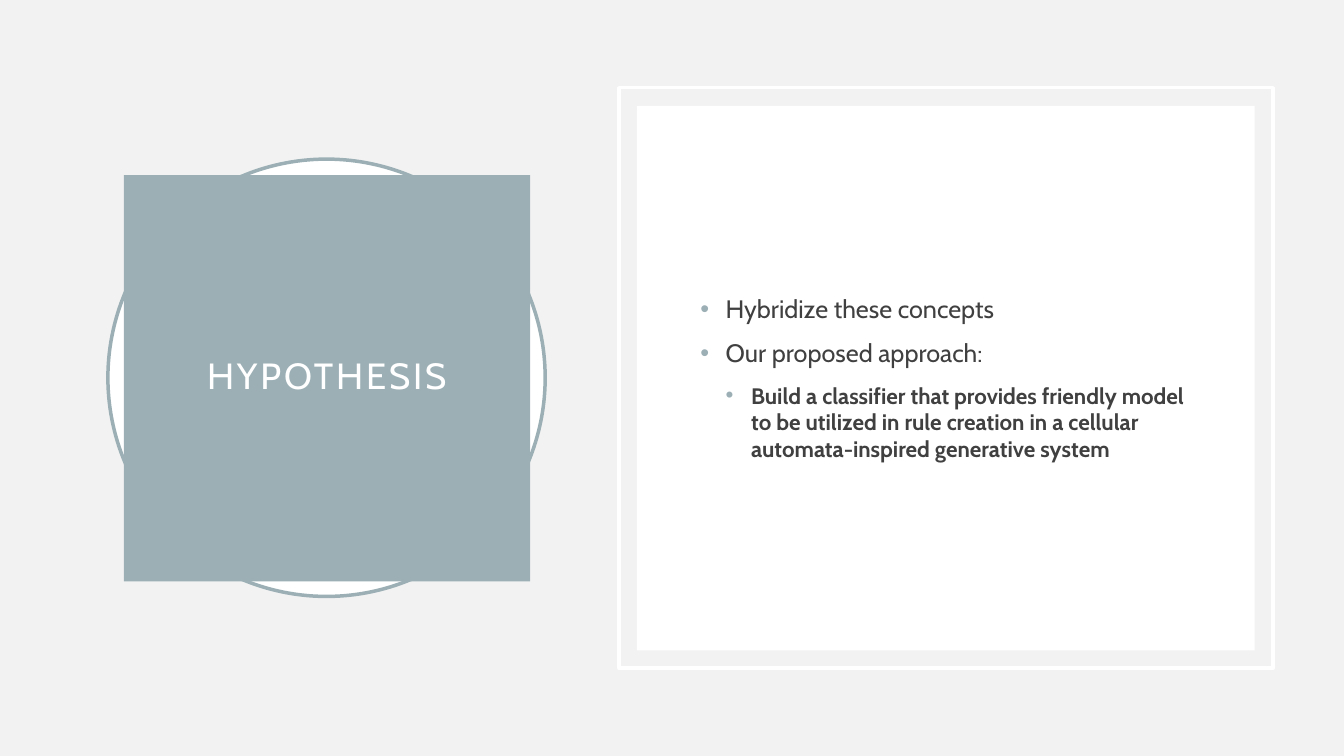
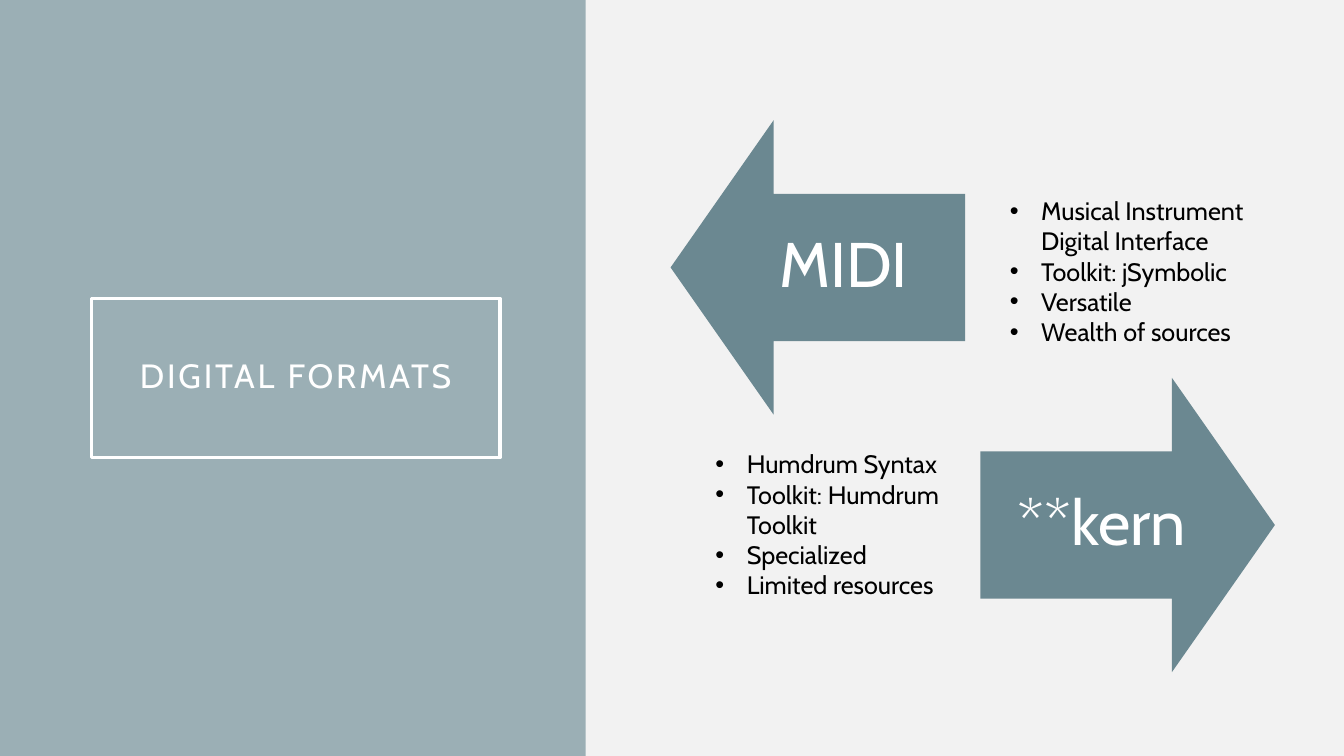
"""Build two slides on a music-generation hypothesis and its digital formats."""
from pptx import Presentation
from pptx import util as u
from pptx.dml.color import RGBColor
from pptx.enum import shapes, text
from pptx.oxml.ns import qn
from lxml import etree

MIST = RGBColor(0x9B, 0xAF, 0xB5)
TEAL = RGBColor(0x6B, 0x88, 0x91)
PALE = RGBColor(0xF2, 0xF2, 0xF2)
WHITE = RGBColor(0xFF, 0xFF, 0xFF)
CHARCOAL = RGBColor(0x40, 0x40, 0x40)
BLACK = RGBColor(0, 0, 0)
FONT = "Cabin"
LINE_WIDTH = u.Pt(2.5)
TITLE_ONLY = 5


def set_all(target, values):
    """Set every attribute in values on target."""
    for name, value in values.items():
        setattr(target, name, value)


def place(shape, left, top, width, height):
    """Put a shape at a place given in centimetres."""
    box = dict(left=left, top=top, width=width, height=height)
    set_all(shape, {side: u.Cm(length) for side, length in box.items()})


def paint(shape, fill=None, line=None):
    """Give a shape its fill and outline, or none of either."""
    if fill is None:
        shape.fill.background()
    else:
        shape.fill.solid()
        shape.fill.fore_color.rgb = fill
    if line is None:
        shape.line.fill.background()
    else:
        shape.line.color.rgb = line
        shape.line.width = LINE_WIDTH


def style_font(font, size, color, bold=False):
    """Apply the deck font with a size and colour."""
    set_all(font, dict(name=FONT, size=u.Pt(size), bold=bold))
    font.color.rgb = color


def add_panel(slide, kind, box, fill=None, line=None):
    """Add a flat preset shape."""
    panel = slide.shapes.add_shape(kind, *(u.Cm(length) for length in box))
    panel.shadow.inherit = False
    paint(panel, fill, line)
    return panel


def write_label(shape, label, size, inset, wrap=True):
    """Write one centred white line into a shape and return its run."""
    frame = shape.text_frame
    sides = ("margin_left", "margin_right", "margin_top", "margin_bottom")
    set_all(frame, dict.fromkeys(sides, u.Cm(inset)))
    set_all(frame, dict(word_wrap=wrap, auto_size=text.MSO_AUTO_SIZE.NONE,
                        vertical_anchor=text.MSO_ANCHOR.MIDDLE))
    paragraph = frame.paragraphs[0]
    set_all(paragraph, dict(alignment=text.PP_ALIGN.CENTER, line_spacing=0.9))
    run = paragraph.add_run()
    run.text = label
    style_font(run.font, size, WHITE)
    return run


def format_title(slide, label, box, size, fill=None, line=None):
    """Move the title to the front and give it the deck's title style."""
    title = slide.shapes.title
    title.element.getparent().append(title.element)
    place(title, *box)
    paint(title, fill, line)
    run = write_label(title, label, size, 0.51)
    run.font._element.set("spc", "200")


def add_bullet(paragraph, color, margin, hang):
    """Give a paragraph a round bullet with a hanging indent."""
    properties = paragraph._p.get_or_add_pPr()
    properties.set("marL", str(u.Cm(margin)))
    properties.set("indent", str(-u.Cm(hang)))
    bullet_color = etree.SubElement(properties, qn("a:buClr"))
    etree.SubElement(bullet_color, qn("a:srgbClr"), val=str(color))
    etree.SubElement(properties, qn("a:buFont"), typeface="Arial")
    etree.SubElement(properties, qn("a:buChar"), char="•")


def add_bullets(slide, box, items, color, bullet_color, hang, gap=0,
                anchor=text.MSO_ANCHOR.TOP):
    """Add a bulleted list of (level, wording) items; sublevels are bold."""
    frame = slide.shapes.add_textbox(*(u.Cm(length) for length in box)).text_frame
    set_all(frame, dict(word_wrap=True, vertical_anchor=anchor))
    for index, (level, wording) in enumerate(items):
        paragraph = frame.add_paragraph() if index else frame.paragraphs[0]
        set_all(paragraph, dict(level=level, space_before=u.Pt(gap)))
        add_bullet(paragraph, bullet_color, hang * (level + 1), hang)
        run = paragraph.add_run()
        run.text = wording
        style_font(run.font, 18 - 2 * level, color, bold=level > 0)


def add_arrow(slide, kind, left, top, label):
    """Add a square block arrow with its format name."""
    arrow = add_panel(slide, kind, (left, top, 7.42, 7.42), TEAL)
    arrow.adjustments[0], arrow.adjustments[1] = 0.5, 0.35
    write_label(arrow, label, 45, 0.89, wrap=False)


def new_slide(deck, background):
    """Add a title-only slide on a plain background."""
    slide = deck.slides.add_slide(deck.slide_layouts[TITLE_ONLY])
    slide.background.fill.solid()
    slide.background.fill.fore_color.rgb = background
    return slide


def build_hypothesis(deck):
    """Build the hypothesis slide."""
    slide = new_slide(deck, PALE)
    rectangle = shapes.MSO_SHAPE.RECTANGLE
    add_panel(slide, shapes.MSO_SHAPE.OVAL, (2.72, 4.01, 11.02, 11.02), WHITE, MIST)
    add_panel(slide, rectangle, (15.6, 2.21, 16.48, 14.63), line=WHITE)
    add_panel(slide, rectangle, (16.05, 2.67, 15.57, 13.72), WHITE)
    format_title(slide, "HYPOTHESIS", (3.12, 4.41, 10.24, 10.24), 26, fill=MIST)
    items = [
        (0, "Hybridize these concepts"),
        (0, "Our proposed approach:"),
        (1, "Build a classifier that provides friendly model to be utilized in "
            "rule creation in a cellular automata-inspired generative system"),
    ]
    add_bullets(slide, (17.4, 4.01, 12.93, 11.02), items, CHARCOAL, MIST, 0.64,
                gap=10, anchor=text.MSO_ANCHOR.MIDDLE)


def build_formats(deck):
    """Build the slide that compares two digital formats."""
    slide = new_slide(deck, MIST)
    add_panel(slide, shapes.MSO_SHAPE.RECTANGLE, (14.76, 0, 19.11, 19.05), PALE)
    format_title(slide, "DIGITAL FORMATS", (2.31, 7.52, 10.29, 4.01), 24, line=WHITE)
    formats = [
        ("MIDI", shapes.MSO_SHAPE.LEFT_ARROW, (16.9, 3.03), (25.2, 4.8, 6.93, 5.64),
         ["Musical Instrument Digital Interface", "Toolkit: jSymbolic",
          "Versatile", "Wealth of sources"]),
        ("**kern", shapes.MSO_SHAPE.RIGHT_ARROW, (24.71, 9.52), (17.78, 11.18, 6.93, 4.88),
         ["Humdrum Syntax", "Toolkit: Humdrum Toolkit",
          "Specialized", "Limited resources"]),
    ]
    for label, kind, corner, list_box, traits in formats:
        add_arrow(slide, kind, *corner, label)
        add_bullets(slide, list_box, [(0, trait) for trait in traits],
                    BLACK, BLACK, 0.79)


def main():
    """Build and save the deck."""
    deck = Presentation()
    set_all(deck, dict(slide_width=u.Cm(33.87), slide_height=u.Cm(19.05)))
    build_hypothesis(deck)
    build_formats(deck)
    deck.save("out.pptx")


if __name__ == "__main__":
    main()
